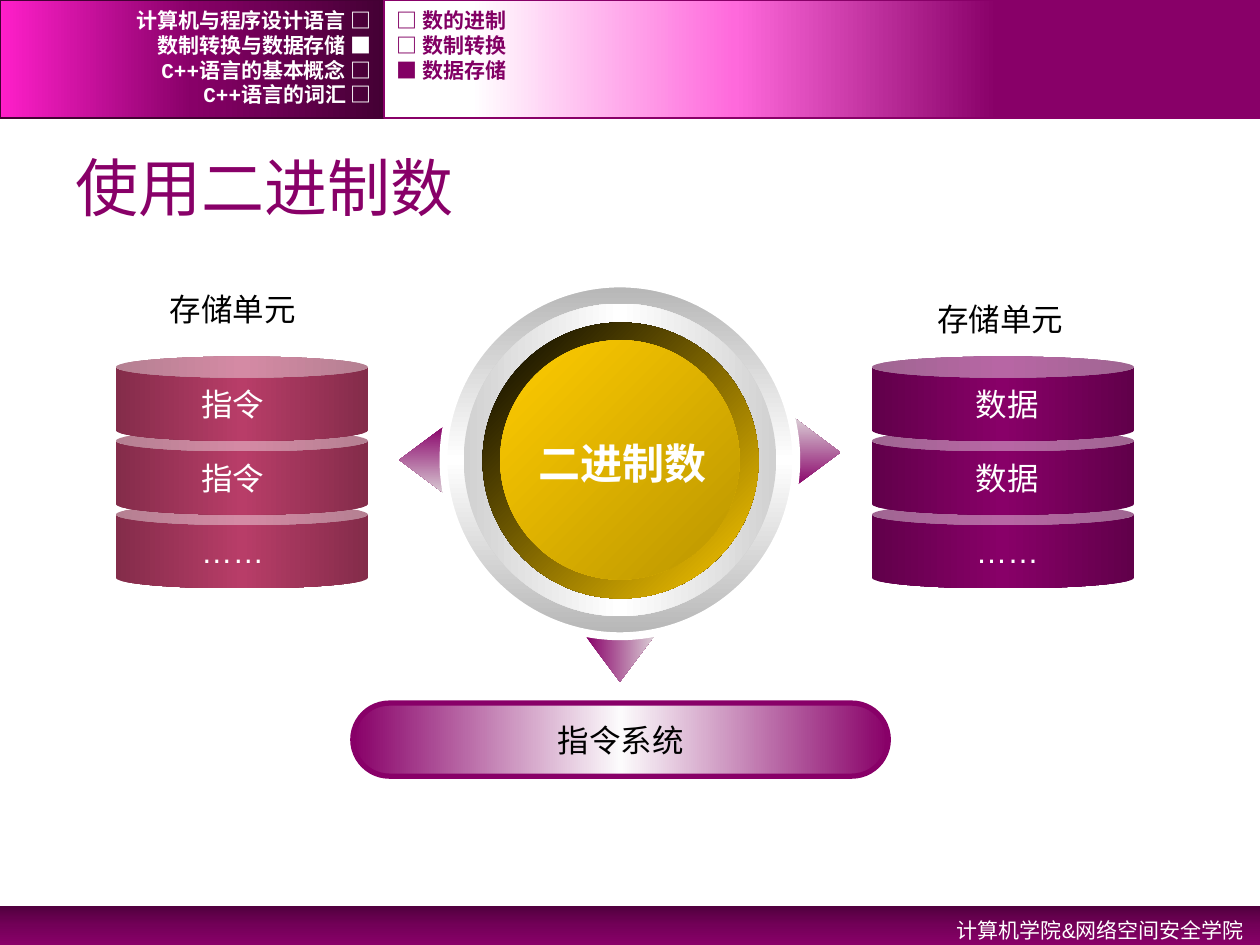
"""Build the slide on using binary numbers for instructions and data."""
from lxml import etree
from pptx import Presentation
from pptx.dml.color import RGBColor
from pptx.enum.shapes import MSO_SHAPE
from pptx.enum.text import MSO_ANCHOR, MSO_AUTO_SIZE, PP_ALIGN
from pptx.oxml.ns import qn
from pptx.util import Inches, Pt

RECT, OVAL, CAN = MSO_SHAPE.RECTANGLE, MSO_SHAPE.OVAL, MSO_SHAPE.CAN
ARROW, PILL = MSO_SHAPE.UP_ARROW, MSO_SHAPE.ROUNDED_RECTANGLE
LEFT, CENTER, RIGHT = PP_ALIGN.LEFT, PP_ALIGN.CENTER, PP_ALIGN.RIGHT
MIDDLE, TOP = MSO_ANCHOR.MIDDLE, MSO_ANCHOR.TOP
FIT, FIXED = MSO_AUTO_SIZE.SHAPE_TO_FIT_TEXT, MSO_AUTO_SIZE.NONE
PLUM, WHITE, BLACK = "880068", "FFFFFF", "000000"


def gradient_shape(shapes, kind, box, stops, angle, line=None, width=1):
    s = shapes.add_shape(kind, *[Inches(v) for v in box])
    s.shadow.inherit = False
    s.fill.gradient()
    grad = s._element.spPr.find(qn("a:gradFill"))
    grad.find(qn("a:lin")).set("ang", str(angle * 60000))
    stop_list = grad.find(qn("a:gsLst"))
    for old in list(stop_list):
        stop_list.remove(old)
    for position, color in stops:
        stop = etree.SubElement(stop_list, qn("a:gs"), pos=str(position * 1000))
        etree.SubElement(stop, qn("a:srgbClr"), val=color)
    if line:
        s.line.color.rgb = RGBColor.from_string(line)
        s.line.width = Pt(width)
    else:
        s.line.fill.background()
    return s


def write(s, text, size, color, align=LEFT, anchor=TOP, font="Arial",
          bold=False, wrap=True, fit=FIT):
    tf = s.text_frame
    tf.text = text
    tf.word_wrap = wrap
    tf.auto_size = fit
    tf.vertical_anchor = anchor
    p = tf.paragraphs[0]
    p.alignment = align
    r = p.runs[0]
    r.font.name = font
    r.font.size = Pt(size)
    r.font.bold = bold
    r.font.color.rgb = RGBColor.from_string(color)


prs = Presentation()
prs.slide_width, prs.slide_height = Inches(10), Inches(7.5)
slide = prs.slides.add_slide(prs.slide_layouts[5])
shapes = slide.shapes

gradient_shape(shapes, RECT, (0, 7.19, 10, 0.31),
               [(0, "51003E"), (50, "730058"), (100, PLUM)], 90)
gradient_shape(shapes, RECT, (0, 0, 3.05, 0.94),
               [(0, "440034"), (50, PLUM), (100, "FF1FCA")], 180, "440034")
gradient_shape(shapes, RECT, (3.05, 0, 6.95, 0.94),
               [(30, PLUM), (60, "FF69DC"), (90, WHITE)], 180, PLUM)
footer = shapes.add_textbox(Inches(6.42), Inches(7.19), Inches(3.55), Inches(0.32))
write(footer, "计算机学院&网络空间安全学院", 12, WHITE, RIGHT)
footer.text_frame.paragraphs[0].line_spacing = 1.2

title = shapes.title
title.left, title.top = Inches(0.5), Inches(1.09)
title.width, title.height = Inches(9), Inches(0.78)
write(title, "使用二进制数", 36, PLUM, anchor=MIDDLE, fit=FIXED)

dial = shapes.add_group_shape().shapes
for left, top, rotation in [(3.08, 3.47, 270), (6.22, 3.41, 90), (4.65, 5.05, 180)]:
    s = gradient_shape(dial, ARROW, (left, top, 0.54, 0.36),
                       [(0, PLUM), (100, "DACDD5")], 0)
    s.adjustments[0], s.adjustments[1] = 0.517, 1
    s.rotation = rotation
    s._element.spPr.get_or_add_xfrm().set("flipH", "1")

rings = [
    (3.52, 2.25, 2.8, [(0, "B6B6B6"), (50, WHITE), (100, "B6B6B6")], 90, WHITE),
    (3.68, 2.41, 2.48, [(0, "D1D1D1"), (50, WHITE), (100, "D1D1D1")], 0, None),
    (3.83, 2.56, 2.19, [(0, BLACK), (100, "FFCC00")], 45, None),
    (3.97, 2.7, 1.9, [(0, "FFCC00"), (100, "BA9500")], 45, None),
]
for left, top, size, stops, angle, line in rings:
    gradient_shape(dial, OVAL, (left, top, size, size), stops, angle, line, 4.5)

stacks = [
    (0.92, 2, "842C4A", "B83D68", 1.49, "指令", 1.25, 2.25),
    (6.92, 2.08, "61004A", PLUM, 7.64, "数据", 7.34, 2.33),
]
for left, width, edge, core, label_left, label, head_left, head_top in stacks:
    for row in (2, 1, 0):
        s = gradient_shape(shapes, CAN, (left, 2.83 + row * 0.585, width, 0.67),
                           [(0, edge), (50, core), (100, edge)], 0)
        s.adjustments[0] = 0.25
    for row, text in enumerate([label, label, "……"]):
        s = shapes.add_textbox(Inches(label_left), Inches(3.01 + row * 0.58),
                               Inches(0.71), Inches(0.4))
        write(s, text, 18, WHITE, CENTER, wrap=False)
    s = shapes.add_textbox(Inches(head_left), Inches(head_top), Inches(1.33), Inches(0.4))
    write(s, "存储单元", 18, BLACK)

s = shapes.add_textbox(Inches(4.16), Inches(3.42), Inches(1.56), Inches(0.5))
write(s, "二进制数", 24, WHITE, CENTER, bold=True, wrap=False)

s = gradient_shape(shapes, PILL, (2.8, 5.58, 4.25, 0.58),
                   [(0, PLUM), (50, "FCFBFC"), (100, PLUM)], 0, PLUM, 3)
s.adjustments[0] = 0.5
write(s, "指令系统", 18, BLACK, CENTER, MIDDLE, "DejaVu Sans", wrap=False, fit=FIXED)

menus = [
    (0, 3.05, RIGHT, WHITE, ["计算机与程序设计语言 □", "数制转换与数据存储 ■",
                             "C++语言的基本概念 □", "C++语言的词汇 □"]),
    (3.05, 6.02, LEFT, "820064", ["□ 数的进制", "□ 数制转换", "■ 数据存储"]),
]
for left, width, align, color, entries in menus:
    for row, text in enumerate(entries):
        s = shapes.add_textbox(Inches(left), Inches(0.06 + row * 0.197),
                               Inches(width), Inches(0.2))
        write(s, text, 12, color, align, MIDDLE, "Courier New", True, fit=FIXED)

prs.save("out.pptx")
